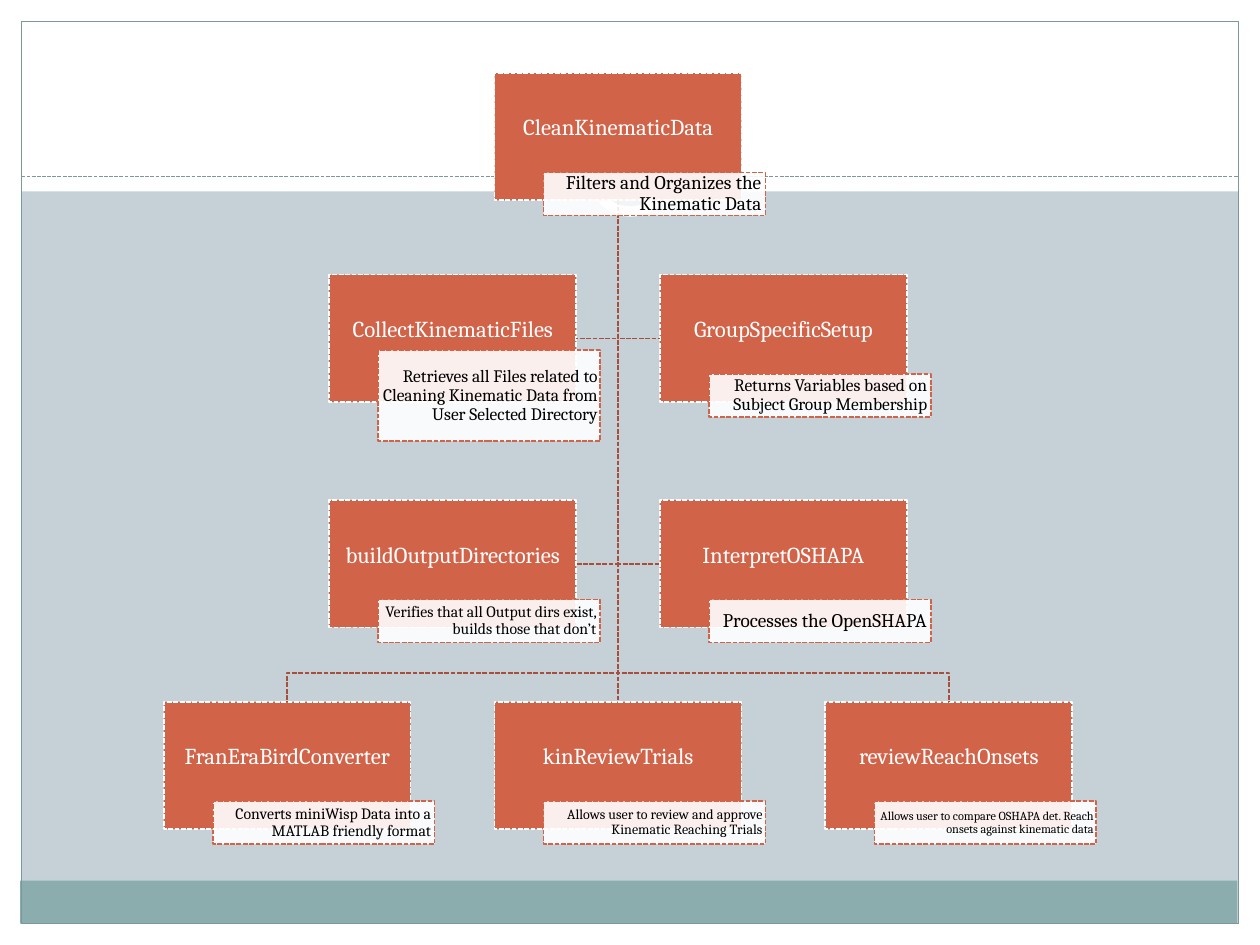
from dataclasses import dataclass

from lxml.etree import SubElement
from pptx import Presentation
from pptx.dml.color import RGBColor
from pptx.enum.dml import MSO_LINE as Dash
from pptx.enum.shapes import MSO_CONNECTOR as Link, MSO_SHAPE as Kind
from pptx.enum.text import MSO_ANCHOR as Anchor, PP_ALIGN as Align
from pptx.oxml.ns import qn
from pptx.util import Inches, Pt

HUE = {
    "back": "C5D1D7", "white": "FFFFFF", "black": "000000", "band": "8CADAE",
    "frame": "7C999A", "card": "D16349", "link": "A74F3A",
}
CARD_W, CARD_H = 1.96, 1.01
NOTE_W, NOTE_DX, NOTE_MID = 1.76, 0.39, 0.96
LEFT, STEP = 1.3, 5.25 / 4
ROWS = [0.58, 2.18, 3.97, 5.57]


@dataclass
class Node:
    name: str
    note: str
    col: int
    row: int
    size: int
    note_h: float = 0.34
    pad: float = 0.03

    @property
    def x(self) -> float:
        return LEFT + STEP * self.col

    @property
    def y(self) -> float:
        return ROWS[self.row]

    @property
    def mid(self) -> float:
        return self.x + CARD_W / 2


NODES = [
    Node("CleanKinematicData", "Filters and Organizes the Kinematic Data", 2, 0, 11),
    Node("FranEraBirdConverter", "Converts miniWisp Data into a MATLAB friendly format",
         0, 3, 9),
    Node("kinReviewTrials", "Allows user to review and approve Kinematic Reaching Trials",
         2, 3, 8, pad=0.02),
    Node("reviewReachOnsets",
         "Allows user to compare OSHAPA det. Reach onsets against kinematic data",
         4, 3, 7, pad=0.02),
    Node("CollectKinematicFiles",
         "Retrieves all Files related to Cleaning Kinematic Data from User Selected Directory",
         1, 1, 10, note_h=0.72, pad=0.02),
    Node("GroupSpecificSetup", "Returns Variables based on Subject Group Membership",
         3, 1, 10),
    Node("buildOutputDirectories",
         "Verifies that all Output dirs exist, builds those that don’t", 1, 2, 9),
    Node("InterpretOSHAPA", "Processes the OpenSHAPA", 3, 2, 11),
]


def rgb(key: str) -> RGBColor:
    return RGBColor.from_string(HUE[key])


def stroke(line, key: str, width: float, dash: bool = True) -> None:
    line.color.rgb = rgb(key)
    line.width = Pt(width)
    if dash:
        line.dash_style = Dash.SQUARE_DOT


def style(shape, fill=None, line=None, width=0.9, dash=True) -> None:
    shape.shadow.inherit = False
    if fill:
        shape.fill.solid()
        shape.fill.fore_color.rgb = rgb(fill)
    else:
        shape.fill.background()
    if line:
        stroke(shape.line, line, width, dash)
    else:
        shape.line.fill.background()


def box(slide, x, y, w, h, kind=Kind.RECTANGLE, **look):
    shape = slide.shapes.add_shape(kind, Inches(x), Inches(y), Inches(w), Inches(h))
    style(shape, **look)
    return shape


def write(shape, text: str, *, size, color, align, pad, bottom=0.01) -> None:
    frame = shape.text_frame
    frame.word_wrap = True
    frame.vertical_anchor = Anchor.MIDDLE
    frame.margin_left = frame.margin_right = Inches(pad)
    frame.margin_top, frame.margin_bottom = Inches(0.01), Inches(bottom)
    par = frame.paragraphs[0]
    par.alignment, par.line_spacing = align, 0.9
    run = par.add_run()
    run.text = text
    run.font.name, run.font.size = "Cambria", Pt(size)
    run.font.color.rgb = rgb(color)


def straight(slide, x1, y1, x2, y2, key, width):
    line = slide.shapes.add_connector(
        Link.STRAIGHT, Inches(x1), Inches(y1), Inches(x2), Inches(y2))
    stroke(line.line, key, width)
    SubElement(line.element.spPr, qn("a:effectLst"))
    return line


def elbow(slide, points: list[tuple[float, float]]) -> None:
    first, *rest = [(Inches(x), Inches(y)) for x, y in points]
    pen = slide.shapes.build_freeform(*first)
    pen.add_line_segments(rest, close=False)
    style(pen.convert_to_shape(), line="link")


def backdrop(slide) -> None:
    slide.background.fill.solid()
    slide.background.fill.fore_color.rgb = rgb("back")
    for edge in [(0, 7.33, 10, 0.17), (0, 0, 10, 1.52),
                 (0, 0, 0.17, 7.5), (9.83, 0, 0.17, 7.5)]:
        box(slide, *edge, fill="white")
    box(slide, 0.16, 6.99, 9.66, 0.34, fill="band")
    box(slide, 0.17, 0.17, 9.66, 7.16, line="frame", width=0.75, dash=False)
    straight(slide, 0.17, 1.4, 9.83, 1.4, "frame", 0.75)
    box(slide, 4.67, 1.05, 0.67, 0.67, Kind.OVAL, fill="white")
    box(slide, 4.77, 1.15, 0.46, 0.46, Kind.OVAL, fill="white",
        line="frame", width=4, dash=False)


def add_card(slide, node: Node):
    card = box(slide, node.x, node.y, CARD_W, CARD_H, fill="card", line="white")
    write(card, node.name, size=13, color="white", align=Align.CENTER,
          pad=0.01, bottom=0.14)
    return card


def add_link(slide, root: Node, node: Node, cards: dict) -> None:
    top = root.y + CARD_H
    if node.col == root.col:
        line = straight(slide, root.mid, top, node.mid, node.y, "link", 0.9)
        line.begin_connect(cards[root.name], 2)
        line.end_connect(cards[node.name], 0)
    elif node.row == 3:
        bend = node.y - 0.23
        elbow(slide, [(root.mid, top), (root.mid, bend),
                      (node.mid, bend), (node.mid, node.y)])
    else:
        side = node.x + (CARD_W if node.col < root.col else 0)
        level = node.y + CARD_H / 2
        elbow(slide, [(root.mid, top), (root.mid, level), (side, level)])


def add_note(slide, node: Node) -> None:
    note = box(slide, node.x + NOTE_DX, node.y + NOTE_MID - node.note_h / 2,
               NOTE_W, node.note_h, fill="white", line="card")
    tint = note.element.spPr.find(qn("a:solidFill")).find(qn("a:srgbClr"))
    SubElement(tint, qn("a:alpha"), val="90000")
    write(note, node.note, size=node.size, color="black", align=Align.RIGHT,
          pad=node.pad)


def main() -> None:
    deck = Presentation()
    deck.slide_width, deck.slide_height = Inches(10), Inches(7.5)
    slide = deck.slides.add_slide(deck.slide_layouts[6])
    backdrop(slide)

    # Cards first, then the links between them, then the notes on top
    cards = {node.name: add_card(slide, node) for node in NODES}
    root, *kids = NODES
    for node in kids:
        add_link(slide, root, node, cards)
    for node in NODES:
        add_note(slide, node)
    deck.save("out.pptx")


if __name__ == "__main__":
    main()
